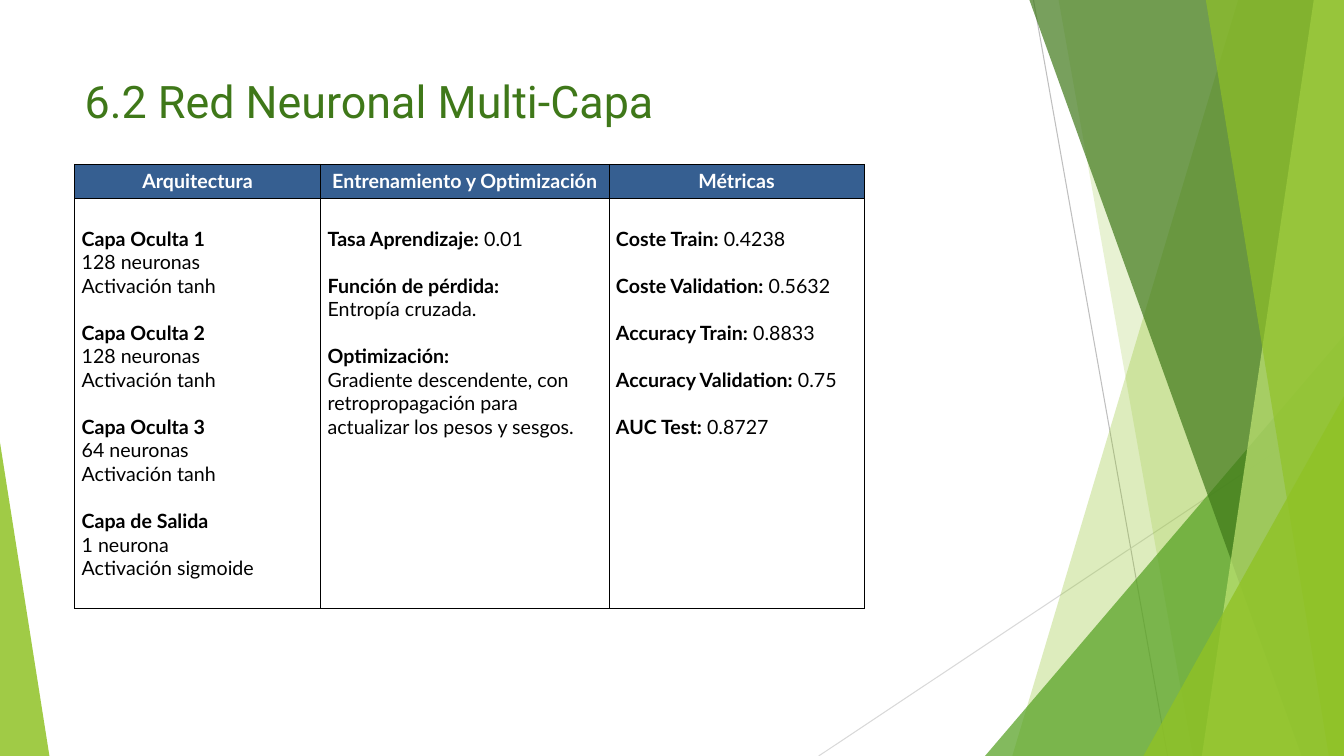
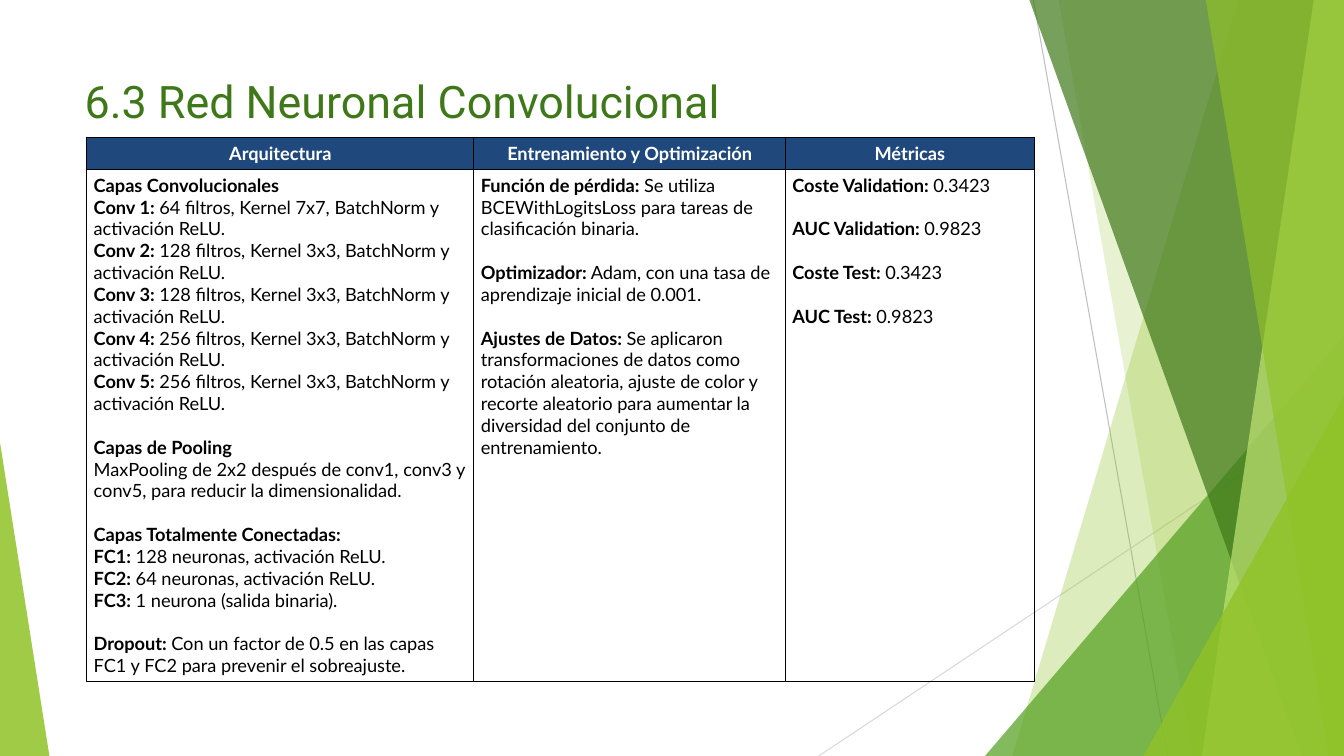
import pptx
import pptx.dml.color
import pptx.enum.shapes
import pptx.enum.text
import pptx.oxml
import pptx.oxml.ns
import pptx.util
from pptx.util import Inches

WIDTH, HEIGHT = 13.33, 7.5
TITLE_FONT, TABLE_FONT = "Roboto", "Lato"
LINE_SPACING = 1.2
COLORS = {
    "lime": "90C226", "pale": "C0E474", "green": "54A021", "forest": "3F7819",
    "steel": "365F91", "navy": "1F497D", "gray": "BFBFBF", "silver": "D9D9D9",
    "black": "000000", "white": "FFFFFF",
}
TITLE_BOX = (0.74, 0.67, 9.4, 0.65)

# Start x, start y, end x, end y, color
LINES = [
    (10.25, 0, 11.58, HEIGHT, "gray"),
    (WIDTH, 4.03, 8.12, HEIGHT, "silver"),
]
# Bands: x of the left edge at top and bottom. Triangles: box and apex position.
# Both end with color and opacity in percent.
FACETS = [
    ("band", (12.28, 10.04), "lime", 30),
    ("band", (10.5, 11.83), "lime", 20),
    ("triangle", (9.77, 3.33, 3.56, 4.17, 1), "green", 72),
    ("band", (10.21, 12.91), "forest", 70),
    ("band", (13.03, 11.92), "pale", 70),
    ("band", (11.96, 13.18), "lime", 65),
    ("triangle", (11.34, 3.93, 1.99, 3.57, 1), "lime", 80),
    ("triangle", (0, 4.39, 0.49, 3.11, 0), "lime", 85),
]

HEADERS = ["Arquitectura", "Entrenamiento y Optimización", "Métricas"]
# Each column is a list of blocks, each block a list of (bold, regular) lines.
SLIDES = [
    {
        "title": "6.2 Red Neuronal Multi-Capa",
        "position": (0.74, 1.63),
        "widths": (2.44, 2.86, 2.53),
        "heights": (0.34, 4.07),
        "body_top": 0.28,
        "size": 14,
        "header_color": "steel",
        "columns": [
            [
                [("Capa Oculta 1", ""), ("", "128 neuronas"), ("", "Activación tanh")],
                [("Capa Oculta 2", ""), ("", "128 neuronas"), ("", "Activación tanh")],
                [("Capa Oculta 3", ""), ("", "64 neuronas"), ("", "Activación tanh")],
                [("Capa de Salida", ""), ("", "1 neurona"), ("", "Activación sigmoide")],
            ],
            [
                [("Tasa Aprendizaje:", " 0.01")],
                [("Función de pérdida:", ""), ("", "Entropía cruzada.")],
                [("Optimización:", ""),
                 ("", "Gradiente descendente, con retropropagación para "
                      "actualizar los pesos y sesgos.")],
            ],
            [
                [("Coste Train:", " 0.4238")],
                [("Coste Validation:", " 0.5632")],
                [("Accuracy Train:", " 0.8833")],
                [("Accuracy Validation:", " 0.75")],
                [("AUC Test:", " 0.8727")],
            ],
        ],
    },
    {
        "title": "6.3 Red Neuronal Convolucional",
        "position": (0.86, 1.36),
        "widths": (3.84, 3.09, 2.47),
        "heights": (0.32, 5.08),
        "body_top": 0.05,
        "size": 13,
        "header_color": "navy",
        "columns": [
            [
                [("Capas Convolucionales", ""),
                 ("Conv 1:", " 64 filtros, Kernel 7x7, BatchNorm y activación ReLU."),
                 ("Conv 2:", " 128 filtros, Kernel 3x3, BatchNorm y activación ReLU."),
                 ("Conv 3:", " 128 filtros, Kernel 3x3, BatchNorm y activación ReLU."),
                 ("Conv 4:", " 256 filtros, Kernel 3x3, BatchNorm y activación ReLU."),
                 ("Conv 5:", " 256 filtros, Kernel 3x3, BatchNorm y activación ReLU.")],
                [("Capas de Pooling", ""),
                 ("", "MaxPooling de 2x2 después de conv1, conv3 y conv5, "
                      "para reducir la dimensionalidad.")],
                [("Capas Totalmente Conectadas:", ""),
                 ("FC1:", " 128 neuronas, activación ReLU."),
                 ("FC2:", " 64 neuronas, activación ReLU."),
                 ("FC3:", " 1 neurona (salida binaria).")],
                [("Dropout:", " Con un factor de 0.5 en las capas FC1 y FC2 "
                              "para prevenir el sobreajuste.")],
            ],
            [
                [("Función de pérdida:", " Se utiliza BCEWithLogitsLoss para tareas "
                                         "de clasificación binaria.")],
                [("Optimizador:", " Adam, con una tasa de aprendizaje inicial de 0.001.")],
                [("Ajustes de Datos:", " Se aplicaron transformaciones de datos como "
                                       "rotación aleatoria, ajuste de color y recorte "
                                       "aleatorio para aumentar la diversidad del "
                                       "conjunto de entrenamiento.")],
            ],
            [
                [("Coste Validation:", " 0.3423")],
                [("AUC Validation:", " 0.9823")],
                [("Coste Test:", " 0.3423")],
                [("AUC Test:", " 0.9823")],
            ],
        ],
    },
]


def rgb(name):
    return pptx.dml.color.RGBColor.from_string(COLORS[name])


def parse_xml(tag, content="", attributes=""):
    namespace = pptx.oxml.ns.nsdecls("a")
    return pptx.oxml.parse_xml(f"<a:{tag} {namespace} {attributes}>{content}</a:{tag}>")


def solid_fill(name):
    return f'<a:solidFill><a:srgbClr val="{COLORS[name]}"/></a:solidFill>'


def add_line(shapes, x1, y1, x2, y2, color):
    line = shapes.add_connector(
        pptx.enum.shapes.MSO_CONNECTOR.STRAIGHT,
        Inches(x1), Inches(y1), Inches(x2), Inches(y2))
    line.line.color.rgb = rgb(color)
    line.line.width = pptx.util.Pt(0.75)
    line.element.spPr.append(parse_xml("effectLst"))
    return line


def add_facet(shapes, kind, geometry, color, opacity):
    if kind == "band":
        top_x, bottom_x = geometry
        corners = [(WIDTH, 0), (WIDTH, HEIGHT), (bottom_x, HEIGHT)]
        builder = shapes.build_freeform(Inches(top_x), 0)
        builder.add_line_segments([(Inches(x), Inches(y)) for x, y in corners])
        facet = builder.convert_to_shape()
    else:
        *box, apex = geometry
        facet = shapes.add_shape(
            pptx.enum.shapes.MSO_SHAPE.ISOSCELES_TRIANGLE, *map(Inches, box))
        facet.adjustments[0] = apex
    facet.shadow.inherit = False
    facet.line.fill.background()
    facet.fill.solid()
    facet.fill.fore_color.rgb = rgb(color)
    color_element = facet.element.spPr.find(".//" + pptx.oxml.ns.qn("a:srgbClr"))
    color_element.append(parse_xml("alpha", attributes=f'val="{opacity * 1000}"'))
    return facet


def style_layout(layout):
    """Keep only the title placeholder and give it the shared style."""
    for placeholder in list(layout.placeholders):
        if placeholder.placeholder_format.idx != 0:
            placeholder.element.getparent().remove(placeholder.element)
    title = layout.placeholders[0]
    title.left, title.top, title.width, title.height = map(Inches, TITLE_BOX)
    title.text_frame.vertical_anchor = pptx.enum.text.MSO_ANCHOR.MIDDLE
    list_style = title.element.txBody.find(pptx.oxml.ns.qn("a:lstStyle"))
    list_style.append(parse_xml(
        "lvl1pPr",
        f'<a:defRPr sz="3200">{solid_fill("forest")}'
        f'<a:latin typeface="{TITLE_FONT}"/></a:defRPr>',
        'algn="l"'))
    return title


def move_decoration_to_layout(slide, layout_title):
    """Draw the decoration with the slide's shape tools, then place it in the layout."""
    decoration = [add_line(slide.shapes, *line) for line in LINES]
    decoration += [add_facet(slide.shapes, *facet) for facet in FACETS]
    for shape in decoration:
        layout_title.element.addprevious(shape.element)


def format_cell(cell, top_margin, fill=None):
    cell.margin_left = cell.margin_right = Inches(0.07)
    cell.margin_top, cell.margin_bottom = Inches(top_margin), Inches(0.05)
    properties = cell._tc.get_or_add_tcPr()
    for side in ("lnL", "lnR", "lnT", "lnB"):
        properties.append(parse_xml(side, solid_fill("black"), 'w="9525"'))
    if fill:
        cell.fill.solid()
        cell.fill.fore_color.rgb = rgb(fill)
    else:
        cell.fill.background()


def add_text(paragraph, text, size, color, bold):
    run = paragraph.add_run()
    run.text = text
    run.font.name = TABLE_FONT
    run.font.size = pptx.util.Pt(size)
    run.font.bold = bold
    run.font.color.rgb = rgb(color)


def fill_body(cell, blocks, size):
    """Write the blocks with one line of space between them."""
    paragraph = cell.text_frame.paragraphs[0]
    for block_index, block in enumerate(blocks):
        for line_index, (bold_text, regular_text) in enumerate(block):
            if block_index or line_index:
                paragraph = cell.text_frame.add_paragraph()
            if block_index and not line_index:
                paragraph.space_before = pptx.util.Pt(size * LINE_SPACING)
            for text, bold in ((bold_text, True), (regular_text, False)):
                if text:
                    add_text(paragraph, text, size, "black", bold)


def add_model_table(slide, content):
    widths, heights = content["widths"], content["heights"]
    left, top = content["position"]
    table = slide.shapes.add_table(
        len(heights), len(widths), Inches(left), Inches(top),
        Inches(sum(widths)), Inches(sum(heights))).table
    table.horz_banding = False
    for row, height in zip(table.rows, heights):
        row.height = Inches(height)
    for index, (header, blocks) in enumerate(zip(HEADERS, content["columns"])):
        table.columns[index].width = Inches(widths[index])
        header_cell, body_cell = table.cell(0, index), table.cell(1, index)
        format_cell(header_cell, 0.05, content["header_color"])
        format_cell(body_cell, content["body_top"])
        paragraph = header_cell.text_frame.paragraphs[0]
        paragraph.alignment = pptx.enum.text.PP_ALIGN.CENTER
        add_text(paragraph, header, content["size"], "white", True)
        fill_body(body_cell, blocks, content["size"])


def main():
    presentation = pptx.Presentation()
    presentation.slide_width = Inches(WIDTH)
    presentation.slide_height = Inches(HEIGHT)
    layout = presentation.slide_layouts[5]
    layout_title = style_layout(layout)
    slides = [presentation.slides.add_slide(layout) for _ in SLIDES]
    move_decoration_to_layout(slides[0], layout_title)
    for slide, content in zip(slides, SLIDES):
        slide.shapes.title.text_frame.text = content["title"]
        add_model_table(slide, content)
    presentation.save("out.pptx")


if __name__ == "__main__":
    main()
